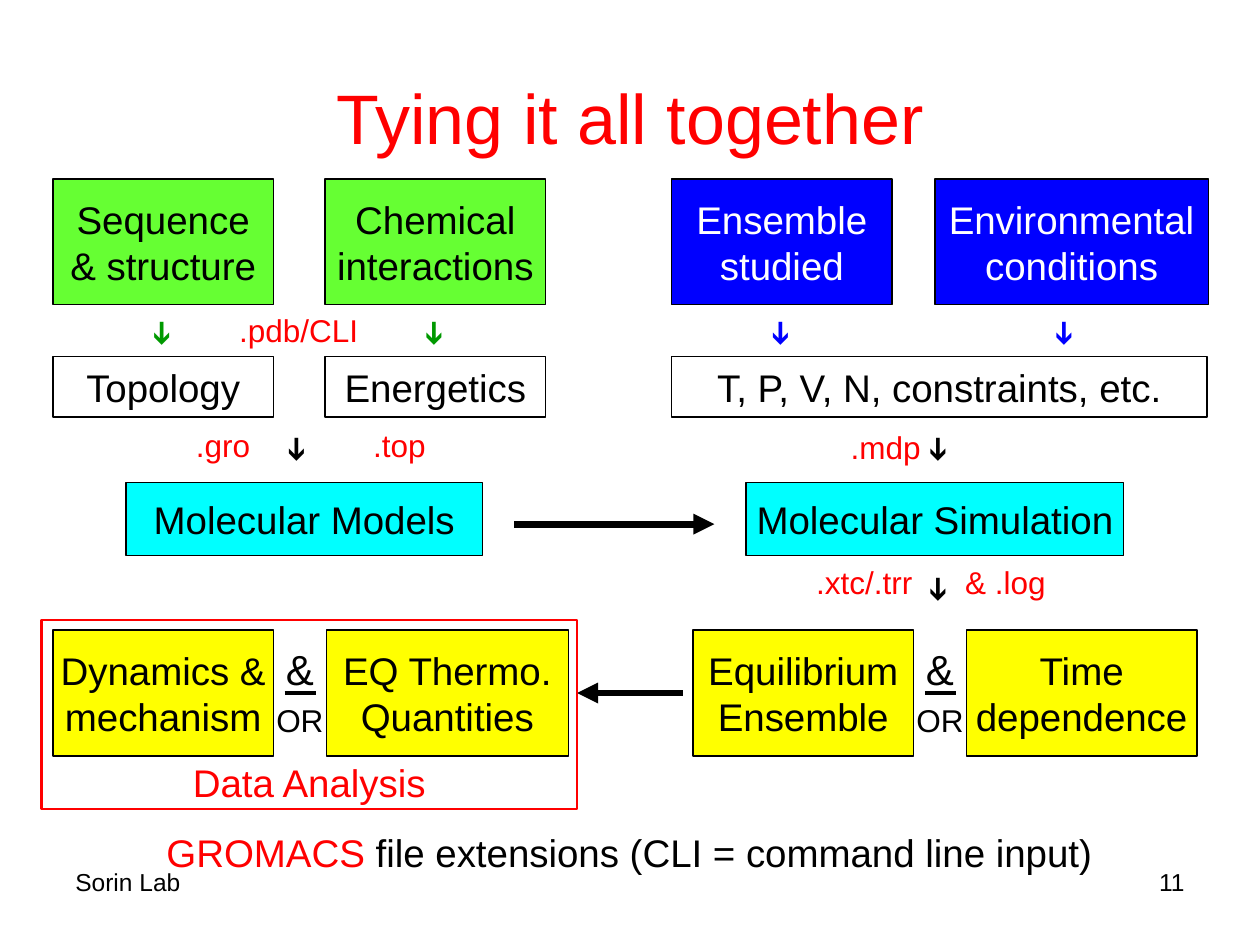
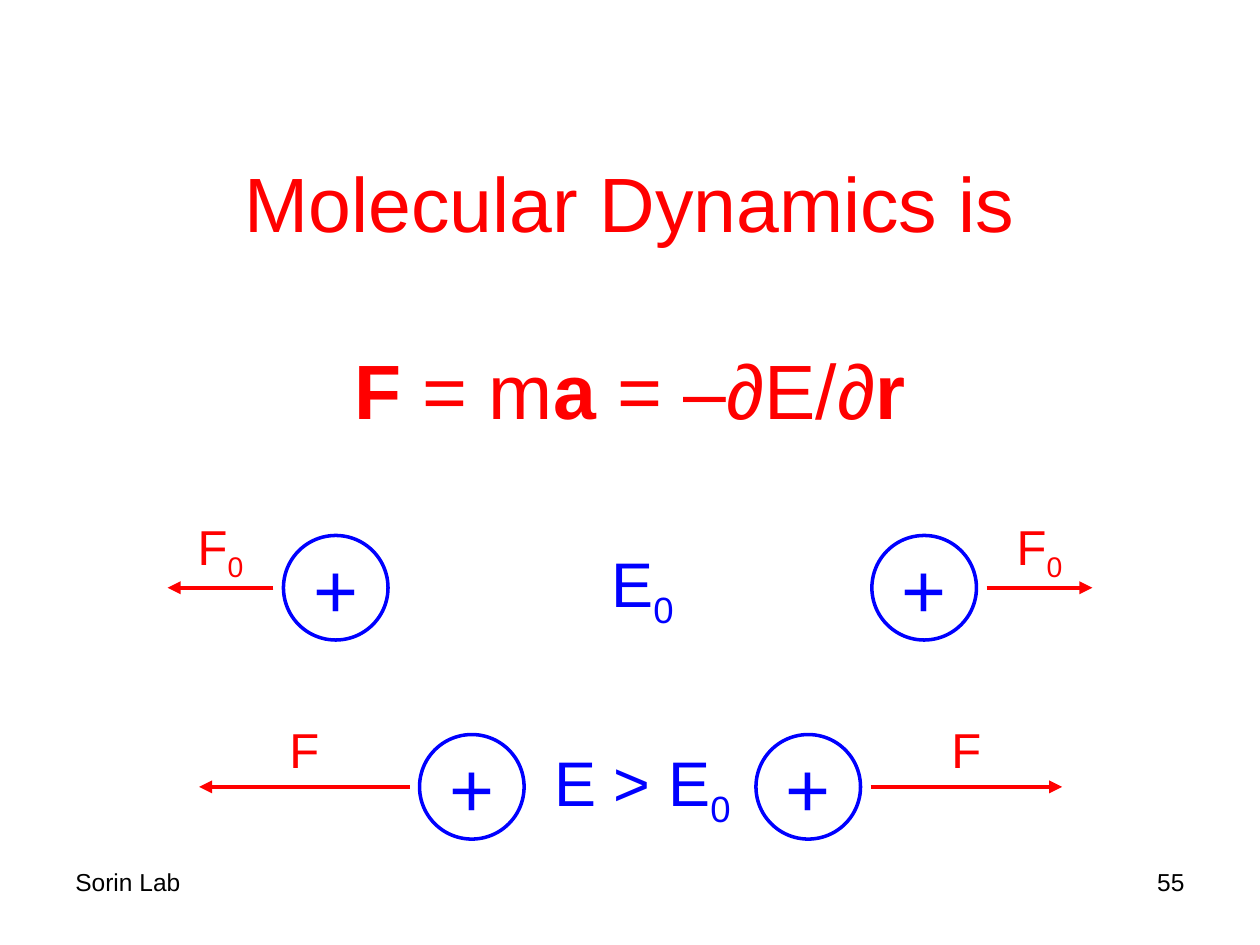
from collections import namedtuple

from pptx import Presentation
from pptx.dml.color import RGBColor
from pptx.enum.shapes import MSO_CONNECTOR as Connector, MSO_SHAPE as Preset
from pptx.enum.text import MSO_ANCHOR as Anchor, MSO_AUTO_SIZE as AutoSize, PP_ALIGN as Align
from pptx.oxml.ns import qn
from pptx.util import Inches, Pt

FONT = "Arial"
BLACK, WHITE, RED, BLUE = "000000", "FFFFFF", "FF0000", "0000FF"
GREEN, DARK_GREEN, CYAN, YELLOW = "66FF33", "009900", "00FFFF", "FFFF00"

Box = namedtuple("Box", "left top width height")


def rgb(color):
    return RGBColor.from_string(color)


def place(box):
    return [Inches(value) for value in box]


def format_run(run, size, color, bold=False):
    run.font.name = FONT
    run.font.size = Pt(size)
    run.font.color.rgb = rgb(color)
    run.font.bold = bold


def write(frame, text, size, color, align=Align.CENTER, anchor=Anchor.MIDDLE, wrap=True):
    frame.text = text
    frame.word_wrap = wrap
    frame.auto_size = AutoSize.NONE
    frame.vertical_anchor = anchor
    for paragraph in frame.paragraphs:
        paragraph.alignment = align
        for run in paragraph.runs:
            format_run(run, size, color)


def add_text(slide, box, text, size, color, **options):
    shape = slide.shapes.add_textbox(*place(box))
    write(shape.text_frame, text, size, color, **options)
    return shape


def add_label(slide, center, top, text, size=18, color=RED, subscript=""):
    """Unwrapped text centred on an x position, with an optional subscript."""
    height = size / 60 + 0.1
    shape = add_text(slide, Box(center - 0.8, top, 1.6, height), text, size, color, wrap=False)
    if subscript:
        run = shape.text_frame.paragraphs[0].add_run()
        run.text = subscript
        format_run(run, size, color)
        run.font._element.set("baseline", "-25000")


def add_outline(slide, preset, box, fill, line, width, text="", size=22, color=BLACK):
    shape = slide.shapes.add_shape(preset, *place(box))
    shape.shadow.inherit = False
    if fill:
        shape.fill.solid()
        shape.fill.fore_color.rgb = rgb(fill)
    else:
        shape.fill.background()
    shape.line.color.rgb = rgb(line)
    shape.line.width = Pt(width)
    frame = shape.text_frame
    frame.margin_left = frame.margin_right = Inches(0.03)
    frame.margin_top = frame.margin_bottom = 0
    if text:
        write(frame, text, size, color, wrap=preset == Preset.RECTANGLE)
    return shape


def add_block(slide, box, text, fill=None, color=BLACK):
    add_outline(slide, Preset.RECTANGLE, box, fill, BLACK, 0.75, text, color=color)


def add_line(slide, start, end, y, color, width, arrow=True):
    line = slide.shapes.add_connector(
        Connector.STRAIGHT, Inches(start), Inches(y), Inches(end), Inches(y))
    line.line.color.rgb = rgb(color)
    line.line.width = Pt(width)
    if arrow:
        outline = line.line._get_or_add_ln()
        outline.append(outline.makeelement(qn("a:tailEnd"), {"type": "triangle"}))
    properties = line._element.spPr
    properties.append(properties.makeelement(qn("a:effectLst"), {}))


def add_down_arrow(slide, center, middle, color=BLACK):
    box = Box(center - 0.23, middle - 0.2, 0.47, 0.4)
    add_text(slide, box, "➔", 18, color, wrap=False).rotation = 90


def start_slide(presentation, title, title_box, size, number):
    """Slide with the shared title style and footer."""
    slide = presentation.slides.add_slide(presentation.slide_layouts[5])
    shape = slide.shapes.title
    shape.left, shape.top, shape.width, shape.height = place(title_box)
    write(shape.text_frame, title, size, RED)
    for left, text, align in [(0.5, "Sorin Lab", Align.LEFT), (7.17, number, Align.RIGHT)]:
        add_text(slide, Box(left, 6.83, 2.33, 0.52), text, 14, BLACK,
                 align=align, anchor=Anchor.TOP)
    return slide


def build_model_inputs(slide, left, top):
    columns = [("Sequence\v& structure", "Topology"), ("Chemical\vinteractions", "Energetics")]
    for index, (source, result) in enumerate(columns):
        x = left + index * 2.16
        add_block(slide, Box(x, top, 1.75, 1), source, GREEN)
        add_down_arrow(slide, x + 0.88, top + 1.23, DARK_GREEN)
        add_block(slide, Box(x, top + 1.41, 1.75, 0.48), result)
    add_label(slide, left + 1.95, top + 1, ".pdb/CLI")
    add_label(slide, left + 1.35, top + 1.91, ".gro")
    add_label(slide, left + 2.75, top + 1.91, ".top")
    add_down_arrow(slide, left + 1.95, top + 2.15)


def build_simulation_inputs(slide, left, top):
    sources = [(0, 1.75, "Ensemble\nstudied"), (2.09, 2.17, "Environmental\vconditions")]
    for offset, width, source in sources:
        add_block(slide, Box(left + offset, top, width, 1), source, BLUE, WHITE)
    for offset in (0.88, 3.13):
        add_down_arrow(slide, left + offset, top + 1.23, BLUE)
    add_block(slide, Box(left, top + 1.41, 4.25, 0.48), "T, P, V, N, constraints, etc.")
    add_label(slide, left + 1.7, top + 1.93, ".mdp")
    add_down_arrow(slide, left + 2.13, top + 2.15)


def build_stages(slide, top):
    add_block(slide, Box(1, top, 2.83, 0.58), "Molecular Models", CYAN)
    add_block(slide, Box(5.92, top, 3, 0.58), "Molecular Simulation", CYAN)
    add_line(slide, 4.08, 5.67, top + 0.33, BLACK, 4)
    add_label(slide, 6.86, top + 0.59, ".xtc/.trr")
    add_down_arrow(slide, 7.46, top + 0.85)
    add_label(slide, 7.98, top + 0.59, "& .log")


def build_outcome_pair(slide, left, top, first, second, second_width):
    """Two yellow blocks with "& / OR" in the gap between them."""
    width, gap = 1.75, 0.42
    middle = left + width + gap / 2
    add_block(slide, Box(left, top, width, 1), first, YELLOW)
    add_block(slide, Box(left + width + gap, top, second_width, 1), second, YELLOW)
    choice = add_text(slide, Box(middle - 0.29, top + 0.06, 0.58, 0.86), "&\nOR", 24, BLACK,
                      anchor=Anchor.TOP, wrap=False)
    ampersand, alternative = choice.text_frame.paragraphs
    ampersand.space_after = Pt(4)
    alternative.runs[0].font.size = Pt(18)
    add_line(slide, middle - 0.12, middle + 0.13, top + 0.5, BLACK, 2.75, arrow=False)


def build_data_analysis(slide, box):
    build_outcome_pair(slide, box.left + 0.09, box.top + 0.08,
                       "Dynamics &\vmechanism", "EQ Thermo.\nQuantities", 1.92)
    add_outline(slide, Preset.RECTANGLE, box, None, RED, 1.5)
    add_label(slide, box.left + box.width / 2, box.top + 1.05, "Data Analysis", 22)


def build_workflow_slide(presentation):
    slide = start_slide(presentation, "Tying it all together", Box(0.5, 0.3, 9, 1.25), 40, "11")
    build_model_inputs(slide, 0.42, 1.42)
    build_simulation_inputs(slide, 5.33, 1.42)
    build_stages(slide, 3.83)
    build_outcome_pair(slide, 5.5, 5, "Equilibrium\nEnsemble", "Time\vdependence", 1.83)
    add_line(slide, 5.42, 4.58, 5.5, BLACK, 4)
    build_data_analysis(slide, Box(0.33, 4.92, 4.25, 1.5))
    caption = add_text(slide, Box(0.08, 6.53, 9.83, 0.47), "GROMACS", 22, RED)
    run = caption.text_frame.paragraphs[0].add_run()
    run.text = " file extensions (CLI = command line input)"
    format_run(run, 22, BLACK)


def build_charge_pair(slide, box, force, energy, subscript, arrow_lengths):
    """Two like charges at the ends of the box, pushed apart by a force."""
    diameter, gap = box.height, 0.08
    middle = box.top + diameter / 2
    right = box.left + box.width
    left_length, right_length = arrow_lengths
    for x in (box.left, right - diameter):
        add_outline(slide, Preset.OVAL, Box(x, box.top, diameter, diameter),
                    None, BLUE, 2, "+", 44, BLUE)
    arrows = [(box.left - gap, -left_length), (right + gap, right_length)]
    for start, length in arrows:
        add_line(slide, start, start + length, middle, RED, 2.5)
        add_label(slide, start + length / 2, box.top - 0.17, force, 28, RED, subscript)
    add_label(slide, 5.1, middle - 0.35, energy, 36, BLUE, "0")


def build_dynamics_slide(presentation):
    slide = start_slide(presentation, "Molecular Dynamics is\n", Box(0.5, 1.08, 9, 2.53), 44, "55")
    equation = slide.shapes.title.text_frame.paragraphs[1]
    equation.space_before = Pt(54)
    for text, bold in [("F", True), (" = m", False), ("a", True), (" = –∂E/∂", False), ("r", True)]:
        run = equation.add_run()
        run.text = text
        format_run(run, 44, RED, bold)
    build_charge_pair(slide, Box(2.25, 4.25, 5.5, 0.83), "F", "E", "0", (0.84, 0.84))
    build_charge_pair(slide, Box(3.33, 5.83, 3.5, 0.83), "F", "E > E", "", (1.67, 1.52))


def main():
    presentation = Presentation()
    presentation.slide_width, presentation.slide_height = Inches(10), Inches(7.5)
    build_workflow_slide(presentation)
    build_dynamics_slide(presentation)
    presentation.save("out.pptx")


if __name__ == "__main__":
    main()
